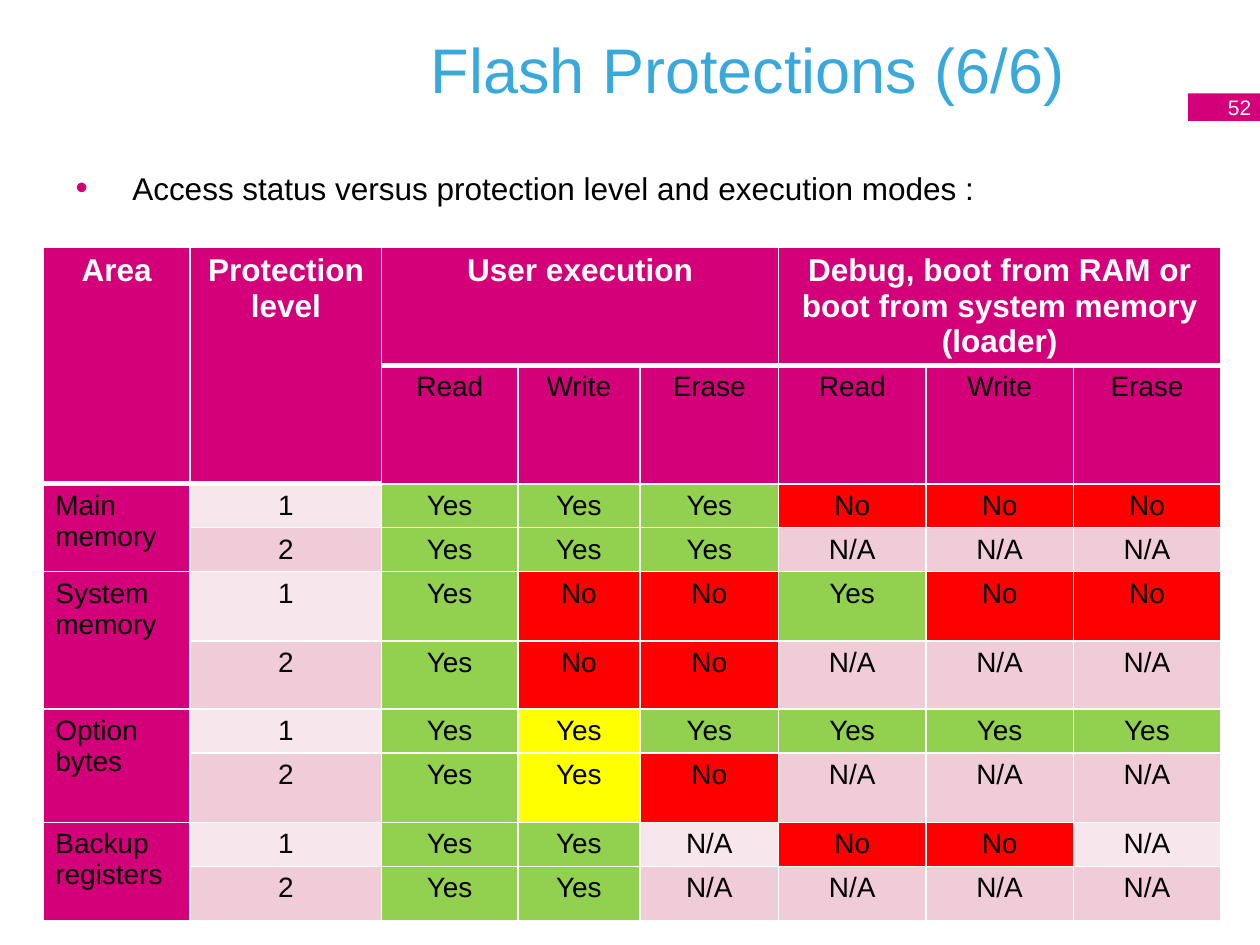
from lxml import etree
from pptx import Presentation
from pptx.dml.color import RGBColor
from pptx.enum.shapes import MSO_SHAPE
from pptx.enum.text import MSO_ANCHOR, MSO_AUTO_SIZE, PP_ALIGN
from pptx.oxml.ns import qn
from pptx.util import Inches, Pt

RECT = MSO_SHAPE.RECTANGLE
MIDDLE = MSO_ANCHOR.MIDDLE
FIXED = MSO_AUTO_SIZE.NONE
LEFT, CENTER, RIGHT = PP_ALIGN.LEFT, PP_ALIGN.CENTER, PP_ALIGN.RIGHT

COLORS = {
    "white": "FFFFFF", "black": "000000", "blue": "39A9DC",
    "pink": "D4007A", "light": "F7E7EC", "dark": "EFCCD7",
    "green": "92D050", "red": "FF0000", "yellow": "FFFF00",
}


def style(par, size, color, align=LEFT, bold=False):
    par.alignment = align
    font = par.font
    font.name, font.size, font.bold = "Arial", Pt(size), bold
    font.color.rgb = RGBColor.from_string(COLORS[color])


def edge(cell, side, width):
    """Draw a white border on one side (L, R, T or B) of a cell."""
    props = cell._tc.get_or_add_tcPr()
    line = etree.SubElement(props, qn("a:ln" + side), w=str(Pt(width)))
    fill = etree.SubElement(line, qn("a:solidFill"))
    etree.SubElement(fill, qn("a:srgbClr"), val=COLORS["white"])


prs = Presentation()
prs.slide_width, prs.slide_height = Inches(10), Inches(7.5)
slide = prs.slides.add_slide(prs.slide_layouts[1])

# Title
title = slide.shapes.title
title.left, title.top = Inches(0.38), Inches(0.17)
title.width, title.height = Inches(8.17), Inches(0.75)
frame = title.text_frame
frame.text = "Flash Protections (6/6)"
frame.auto_size, frame.vertical_anchor = FIXED, MIDDLE
style(frame.paragraphs[0], 36, "blue", RIGHT)

# Page number
badge = slide.shapes.add_shape(
    RECT, Inches(9.43), Inches(0.74), Inches(0.6), Inches(0.22))
badge.shadow.inherit = False
badge.fill.solid()
badge.fill.fore_color.rgb = RGBColor.from_string(COLORS["pink"])
badge.line.fill.background()
frame = badge.text_frame
frame.text = "52"
frame.vertical_anchor = MIDDLE
frame.margin_top = frame.margin_bottom = 0
style(frame.paragraphs[0], 12, "white", RIGHT)

# Access table
HEADS = [
    ["Area", "Protection level", "User execution", "", "",
     "Debug, boot from RAM or boot from system memory (loader)", "", ""],
    ["", ""] + ["Read", "Write", "Erase"] * 2,
]
AREAS = {
    "Main memory": ("Yes Yes Yes No No No", "Yes Yes Yes N/A N/A N/A"),
    "System memory": ("Yes No No Yes No No", "Yes No No N/A N/A N/A"),
    "Option bytes": ("Yes Yes Yes Yes Yes Yes", "Yes Yes No N/A N/A N/A"),
    "Backup registers": ("Yes Yes N/A No No N/A", "Yes Yes N/A N/A N/A N/A"),
}
rows = list(HEADS)
for area, (first, second) in AREAS.items():
    rows += [[area, "1"] + first.split(), ["", "2"] + second.split()]

WIDTHS = [1.17, 1.52, 1.08, 0.97, 1.1, 1.17, 1.17, 1.17]
HEIGHTS = [0.94, 0.94, 0.34, 0.35, 0.55, 0.54, 0.35, 0.55, 0.35, 0.43]
FILLS = {"Yes": "green", "No": "red"}
LIMITED = {(6, 3), (7, 3)}  # option bytes, user write

table = slide.shapes.add_table(
    len(rows), len(WIDTHS), Inches(0.34), Inches(1.96),
    Inches(sum(WIDTHS)), Inches(sum(HEIGHTS))).table
for col, width in zip(table.columns, WIDTHS):
    col.width = Inches(width)
for row, height in zip(table.rows, HEIGHTS):
    row.height = Inches(height)

for r, row in enumerate(rows):
    for c, text in enumerate(row):
        cell = table.cell(r, c)
        heavy = [n == 1 or (n == 2 and c < 2) for n in (r, r + 1)]
        edge(cell, "L", 1)
        edge(cell, "R", 1)
        edge(cell, "T", 3 if heavy[0] else 1)
        edge(cell, "B", 3 if heavy[1] else 1)
        if r < 2 or c == 0:
            fill = "pink"
        elif (r, c) in LIMITED:
            fill = "yellow"
        else:
            fill = FILLS.get(text, "dark" if r % 2 else "light")
        cell.fill.solid()
        cell.fill.fore_color.rgb = RGBColor.from_string(COLORS[fill])
        cell.text = text
        par = cell.text_frame.paragraphs[0]
        if r == 0:
            style(par, 18, "white", CENTER, True)
        else:
            style(par, 16, "black", CENTER if c else LEFT)

for c in (0, 1):
    table.cell(0, c).merge(table.cell(1, c))
for c in (2, 5):
    table.cell(0, c).merge(table.cell(0, c + 2))
for r in range(2, len(rows), 2):
    table.cell(r, 0).merge(table.cell(r + 1, 0))

# Bulleted statement
body = slide.placeholders[1]
body.left, body.top = Inches(0.5), Inches(1.29)
body.width, body.height = Inches(8.92), Inches(0.6)
frame = body.text_frame
frame.text = "Access status versus protection level and execution modes :"
frame.auto_size = FIXED
par = frame.paragraphs[0]
props = par._p.get_or_add_pPr()
props.set("marL", str(Inches(0.45)))
props.set("indent", str(Inches(-0.45)))
tint = etree.SubElement(props, qn("a:buClr"))
etree.SubElement(tint, qn("a:srgbClr"), val=COLORS["pink"])
etree.SubElement(props, qn("a:buSzPct"), val="111000")
etree.SubElement(props, qn("a:buFont"), typeface="Arial")
etree.SubElement(props, qn("a:buChar"), char="•")
par.space_before = Pt(0)
style(par, 18, "black")

prs.save("out.pptx")
